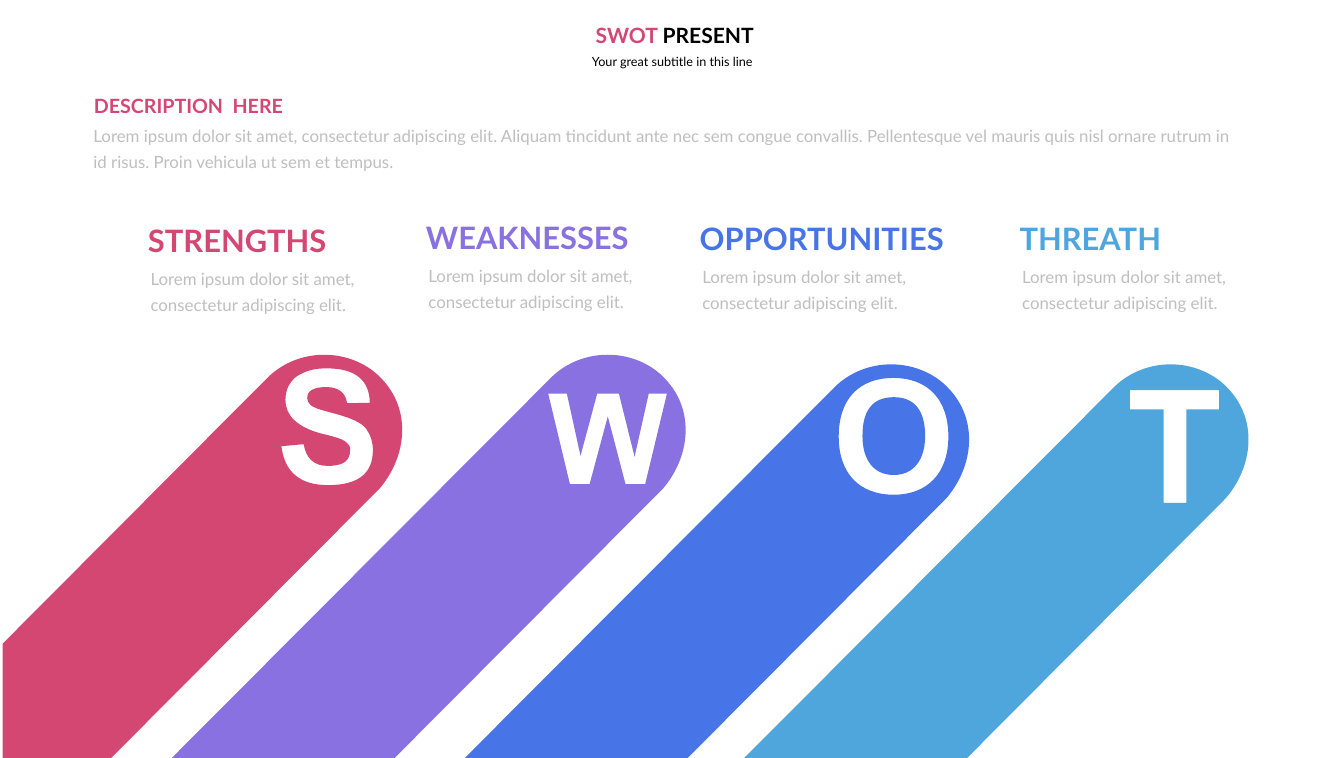
import lxml.etree
import pptx
import pptx.dml.color
import pptx.enum.text
import pptx.oxml.ns
import pptx.util

PX = 9144  # EMU per px, 100 px to the inch
WIDTH, HEIGHT = 2660, 1500
LEFT_EDGE = 5
FONT = "Lato"
COLOURS = {
    "strengths": "D54773",
    "weaknesses": "8971E1",
    "opportunities": "4775E7",
    "threats": "4EA6DC",
    "body": "BFBFBF",
    "black": "000000",
}
ALIGN = pptx.enum.text.PP_ALIGN
ANCHOR = pptx.enum.text.MSO_ANCHOR
AUTO_SIZE = pptx.enum.text.MSO_AUTO_SIZE

INTRO = (
    "Lorem ipsum dolor sit amet, consectetur adipiscing elit. Aliquam tincidunt "
    "ante nec sem congue convallis. Pellentesque vel mauris quis nisl ornare "
    "rutrum in id risus. Proin vehicula ut sem et tempus."
)
BLURB = "Lorem ipsum dolor sit amet, consectetur adipiscing elit."

# Contours: a pair is a corner, six numbers are a cubic curve.
LETTER_S = [[
    (647, 729), (634, 729, 623, 730, 613, 733), (603, 736, 595, 740, 587, 745),
    (580, 750, 575, 757, 571, 764), (567, 772, 565, 781, 565, 791),
    (565, 807, 571, 821, 583, 832), (595, 843, 613, 852, 636, 858),
    (662, 864, 678, 869, 684, 874), (687, 876, 689, 878, 691, 881),
    (693, 884, 693, 887, 693, 891), (693, 912, 679, 922, 649, 922),
    (622, 922, 606, 908, 601, 879), (557, 883), (563, 934, 594, 960, 649, 960),
    (709, 960, 738, 937, 738, 891), (738, 875, 734, 861, 725, 849),
    (721, 843, 714, 838, 702, 832), (691, 827, 676, 822, 657, 817),
    (645, 814, 636, 811, 629, 809), (622, 806, 617, 804, 615, 802),
    (611, 798, 608, 793, 608, 788), (608, 773, 621, 766, 646, 766),
    (670, 766, 684, 777, 687, 798), (732, 797), (731, 751, 702, 729, 647, 729),
]]
LETTER_W = [[
    (1085, 779), (1128, 958), (1167, 958), (1203, 824), (1238, 958), (1277, 958),
    (1320, 779), (1284, 779), (1256, 904), (1225, 779), (1182, 779), (1149, 902),
    (1122, 779),
]]
LETTER_O = [
    [(1768, 748), (1700, 748, 1660, 790, 1660, 864),
     (1660, 936, 1700, 979, 1769, 979), (1836, 979, 1877, 936, 1877, 864),
     (1877, 790, 1836, 748, 1768, 748)],
    [(1769, 786), (1810, 786, 1831, 812, 1831, 863),
     (1831, 910, 1808, 940, 1769, 940), (1729, 940, 1707, 910, 1707, 863),
     (1707, 812, 1727, 786, 1769, 786)],
]
LETTER_T = [[
    (2236, 772), (2236, 810), (2303, 810), (2303, 995), (2348, 995), (2348, 810),
    (2413, 810), (2413, 772),
]]

# colour name, heading, heading left, top, width, tip of the bar, cut-out letter
SECTIONS = [
    ("strengths", "STRENGTHS", 283, 433, 461, (642, 702), LETTER_S),
    ("weaknesses", "WEAKNESSES", 833, 428, 461, (1203, 702), LETTER_W),
    ("opportunities", "OPPORTUNITIES", 1375, 429, 562, (1764, 721), LETTER_O),
    ("threats", "THREATH", 2008, 430, 461, (2317, 721), LETTER_T),
]


def colour(name):
    return pptx.dml.color.RGBColor.from_string(COLOURS[name])


def bar_outline(x, y):
    """A slanted bar with a round cap topped at (x, y), cut at the slide edges."""
    right, left, bulge = x + 110, x - 111, x + 154
    shoulder, hip = y + 44, y + 264
    outline = [
        (x, y),
        (x + 40, y, x + 81, y + 15, right, shoulder),
        (x + 140, y + 74, bulge, y + 110, bulge, y + 149),
        (bulge, y + 187, x + 140, y + 228, right, hip),
        (right - (HEIGHT - hip) + 2, HEIGHT),
    ]
    foot = left - (HEIGHT - shoulder) + 2
    if foot < LEFT_EDGE:
        outline += [(LEFT_EDGE, HEIGHT), (LEFT_EDGE, HEIGHT + foot - LEFT_EDGE)]
    else:
        outline.append((foot, HEIGHT))
    return outline + [(left, shoulder), (x - 81, y + 15, x - 41, y, x, y)]


def bend(shape, contours):
    """Turn the line segments that stand for cubic curves into curves."""
    left, top = round(shape.left / PX), round(shape.top / PX)
    qualify = pptx.oxml.ns.qn
    segments = list(shape.element.iter(qualify("a:lnTo")))
    pieces = [piece for contour in contours for piece in contour[1:]]
    for segment, piece in zip(segments, pieces):
        if len(piece) == 2:
            continue
        segment.tag = qualify("a:cubicBezTo")
        for index in (0, 1):
            x, y = piece[2 * index:2 * index + 2]
            control = lxml.etree.Element(qualify("a:pt"), x=str(x - left), y=str(y - top))
            segment.insert(index, control)


def write(box, spans, size=24, bold=False, align=ALIGN.LEFT, anchor=ANCHOR.TOP,
          inset=10, spacing=1.0, auto_size=AUTO_SIZE.SHAPE_TO_FIT_TEXT):
    """Fill a box with one paragraph of (text, colour name) spans."""
    frame = box.text_frame
    frame.word_wrap = True
    frame.auto_size = auto_size
    frame.vertical_anchor = anchor
    frame.margin_left = frame.margin_right = inset * PX
    frame.margin_top = frame.margin_bottom = inset * PX // 2
    para = frame.paragraphs[0]
    para.alignment = align
    para.line_spacing = spacing
    para.space_before = pptx.util.Pt(0)
    for text, name in spans:
        span = para.add_run()
        span.text = text
        span.font.name = FONT
        span.font.size = pptx.util.Pt(size)
        span.font.bold = bold
        span.font.color.rgb = colour(name)


class Painter:
    """Holds the style and the current page."""

    def __init__(self, page):
        self.page = page

    def placeholder(self, index, left, top, width, height, spans, **style):
        box = self.page.placeholders[index]
        box.left, box.top = left * PX, top * PX
        box.width, box.height = width * PX, height * PX
        write(box, spans, align=ALIGN.CENTER, auto_size=AUTO_SIZE.NONE, **style)

    def text(self, left, top, width, height, text, name, **style):
        box = self.page.shapes.add_textbox(left * PX, top * PX, width * PX, height * PX)
        write(box, [(text, name)], **style)

    def body(self, left, top, width, text):
        self.text(left, top, width, 132, text, "body", inset=27, spacing=1.3,
                  anchor=ANCHOR.MIDDLE)

    def bar(self, tip, letter, name):
        """Draw a bar with its letter cut out."""
        contours = [bar_outline(*tip), *letter]
        builder = self.page.shapes.build_freeform(*tip, scale=float(PX))
        for number, contour in enumerate(contours):
            if number:
                builder.move_to(*contour[0])
            builder.add_line_segments([piece[-2:] for piece in contour[1:]], close=True)
        shape = builder.convert_to_shape()
        bend(shape, contours)
        shape.shadow.inherit = False
        shape.fill.solid()
        shape.fill.fore_color.rgb = colour(name)
        shape.line.fill.background()


def main():
    deck = pptx.Presentation()
    deck.slide_width, deck.slide_height = WIDTH * PX, HEIGHT * PX
    painter = Painter(deck.slides.add_slide(deck.slide_layouts[0]))

    for name, _, _, _, _, tip, letter in SECTIONS:
        painter.bar(tip, letter, name)

    painter.placeholder(1, 922, 95, 817, 55,
                        [("Your great subtitle in this line", "black")],
                        size=18, inset=24)
    painter.placeholder(0, 830, 34, 1011, 71,
                        [("SWOT ", "strengths"), ("PRESENT", "black")],
                        size=30, bold=True, inset=20)
    painter.body(158, 223, 2314, INTRO)
    painter.text(166, 175, 461, 67, "DESCRIPTION  HERE", "strengths",
                 size=28, bold=True, inset=20)
    for name, heading, left, top, width, _, _ in SECTIONS:
        painter.body(left - 12, top + 72, 523, BLURB)
        painter.text(left, top, width, 84, heading, name, size=44, bold=True)

    deck.save("out.pptx")


if __name__ == "__main__":
    main()
